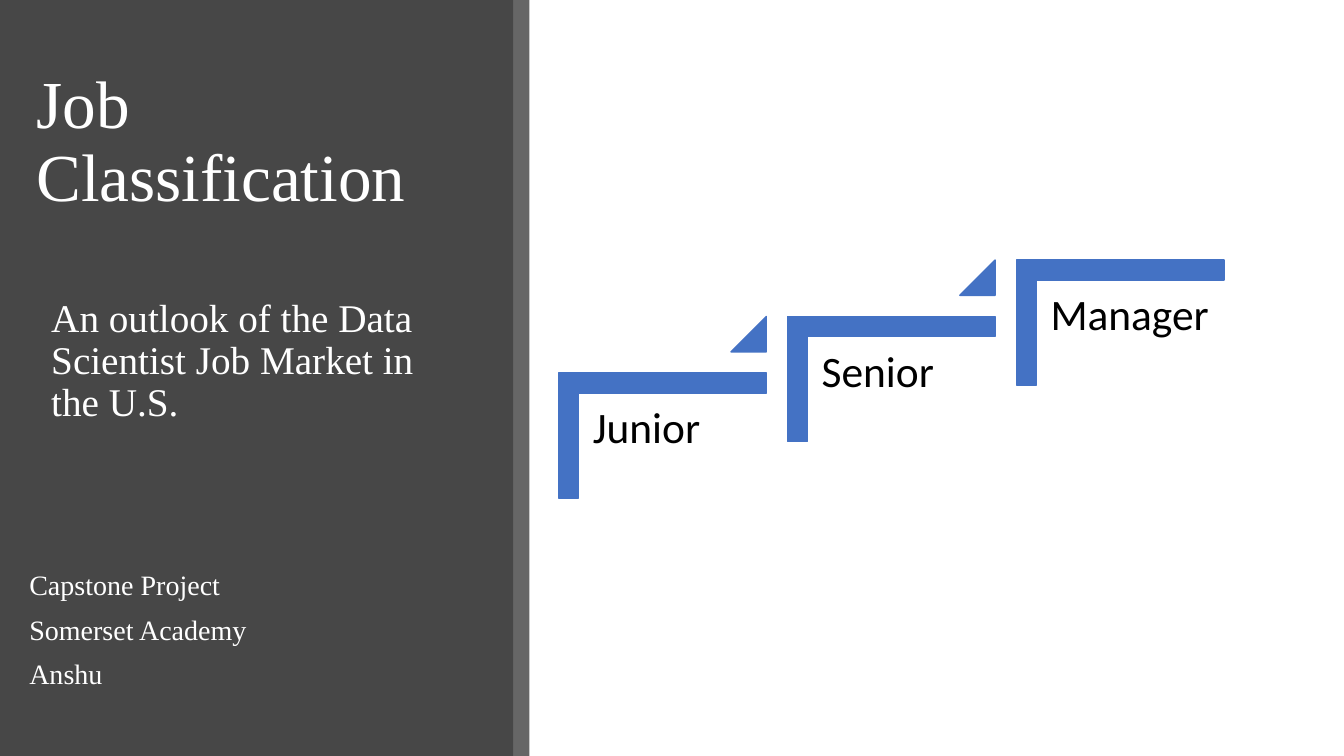
import pptx
import pptx.util
import pptx.dml.color
import pptx.enum.shapes
import pptx.enum.text
import pptx.oxml
import pptx.oxml.ns
from dataclasses import dataclass

Inches = pptx.util.Inches
SHAPES = pptx.enum.shapes.MSO_SHAPE
ANCHOR = pptx.enum.text.MSO_ANCHOR

TITLE = ["Job Classification"]
OUTLOOK = ["An outlook of the Data Scientist Job Market in the U.S."]
CREDITS = ["Capstone Project", "Somerset Academy", "Anshu"]
LEVELS = ["Junior", "Senior", "Manager"]


@dataclass(frozen=True)
class Theme:
    serif: str = "Times New Roman"
    sans: str = "Calibri"
    white: str = "FFFFFF"
    black: str = "000000"
    panel: str = "404040"
    accent: str = "4472C4"
    title_size: int = 48
    outlook_size: int = 28
    credits_size: int = 20
    level_size: int = 31


THEME = Theme()
PANELS = [(5.25, THEME.black, 60), (5.09, THEME.panel, 80)]
STEP_RIGHT, STEP_UP = 2.27, 0.56
CORNER_BOX = (5.95, 3.29, 1.24, 2.06)
LABEL_BOX = (5.75, 3.9, 1.86, 1.63)
TRIANGLE_BOX = (7.25, 3.14, 0.35, 0.35)


def color(value):
    return pptx.dml.color.RGBColor.from_string(value)


def place(shape, box):
    shape.left, shape.top, shape.width, shape.height = map(Inches, box)


def write(shape, lines, size, font=THEME.serif, fill=THEME.white,
          anchor=ANCHOR.TOP, before=0, inset=None, top_inset=None):
    frame = shape.text_frame
    frame.word_wrap = True
    frame.auto_size = pptx.enum.text.MSO_AUTO_SIZE.NONE
    frame.vertical_anchor = anchor
    if inset is not None:
        frame.margin_left = frame.margin_right = Inches(inset)
        frame.margin_top = frame.margin_bottom = Inches(inset)
    if top_inset is not None:
        frame.margin_top = Inches(top_inset)
    for index, line in enumerate(lines):
        paragraph = frame.add_paragraph() if index else frame.paragraphs[0]
        paragraph.alignment = pptx.enum.text.PP_ALIGN.LEFT
        paragraph.line_spacing = 0.9
        paragraph.space_before = pptx.util.Pt(before)
        run = paragraph.add_run()
        run.text = line
        run.font.name = font
        run.font.size = pptx.util.Pt(size)
        run.font.color.rgb = color(fill)


def add_filled(shapes, kind, box, fill, outlined=False):
    shape = shapes.add_shape(kind, *map(Inches, box))
    shape.shadow.inherit = False
    shape.fill.solid()
    shape.fill.fore_color.rgb = color(fill)
    if outlined:
        shape.line.color.rgb = color(fill)
        shape.line.width = pptx.util.Pt(1)
    else:
        shape.line.fill.background()
    return shape


def add_panel(slide, width, fill, opacity):
    panel = add_filled(slide.shapes, SHAPES.RECTANGLE, (0, 0, width, 7.5), fill)
    tag = pptx.oxml.ns.qn("a:srgbClr")
    srgb = next(panel.element.spPr.iter(tag))
    alpha = pptx.oxml.parse_xml(
        f'<a:alpha {pptx.oxml.ns.nsdecls("a")} val="{opacity * 1000}"/>')
    srgb.append(alpha)
    slide.shapes.title.element.addprevious(panel.element)


def add_level(shapes, index, name):
    def shifted(box):
        left, top, width, height = box
        return left + index * STEP_RIGHT, top - index * STEP_UP, width, height

    corner = add_filled(shapes, SHAPES.CORNER, shifted(CORNER_BOX), THEME.accent, True)
    corner.rotation = 90
    corner.adjustments[0] = corner.adjustments[1] = 0.16
    label = shapes.add_textbox(*map(Inches, shifted(LABEL_BOX)))
    write(label, [name], THEME.level_size, font=THEME.sans, fill=THEME.black, inset=0.13)
    if index < len(LEVELS) - 1:
        triangle = add_filled(shapes, SHAPES.ISOSCELES_TRIANGLE,
                              shifted(TRIANGLE_BOX), THEME.accent, True)
        triangle.adjustments[0] = 1


def main():
    presentation = pptx.Presentation()
    presentation.slide_width = Inches(13.33)
    presentation.slide_height = Inches(7.5)
    slide = presentation.slides.add_slide(presentation.slide_layouts[0])

    for width, fill, opacity in PANELS:
        add_panel(slide, width, fill, opacity)

    title = slide.shapes.title
    place(title, (0.26, 1.17, 4.73, 1.02))
    write(title, TITLE, THEME.title_size, anchor=ANCHOR.BOTTOM)

    credit_lines = slide.placeholders[1]
    place(credit_lines, (0.19, 4.3, 4.8, 2.7))
    write(credit_lines, CREDITS, THEME.credits_size, before=10, top_inset=1.37)

    outlook = slide.shapes.add_textbox(*map(Inches, (0.41, 2.91, 4.35, 1.5)))
    write(outlook, OUTLOOK, THEME.outlook_size, before=10)

    staircase = slide.shapes.add_group_shape()
    for index, name in enumerate(LEVELS):
        add_level(staircase.shapes, index, name)

    presentation.save("out.pptx")


if __name__ == "__main__":
    main()
